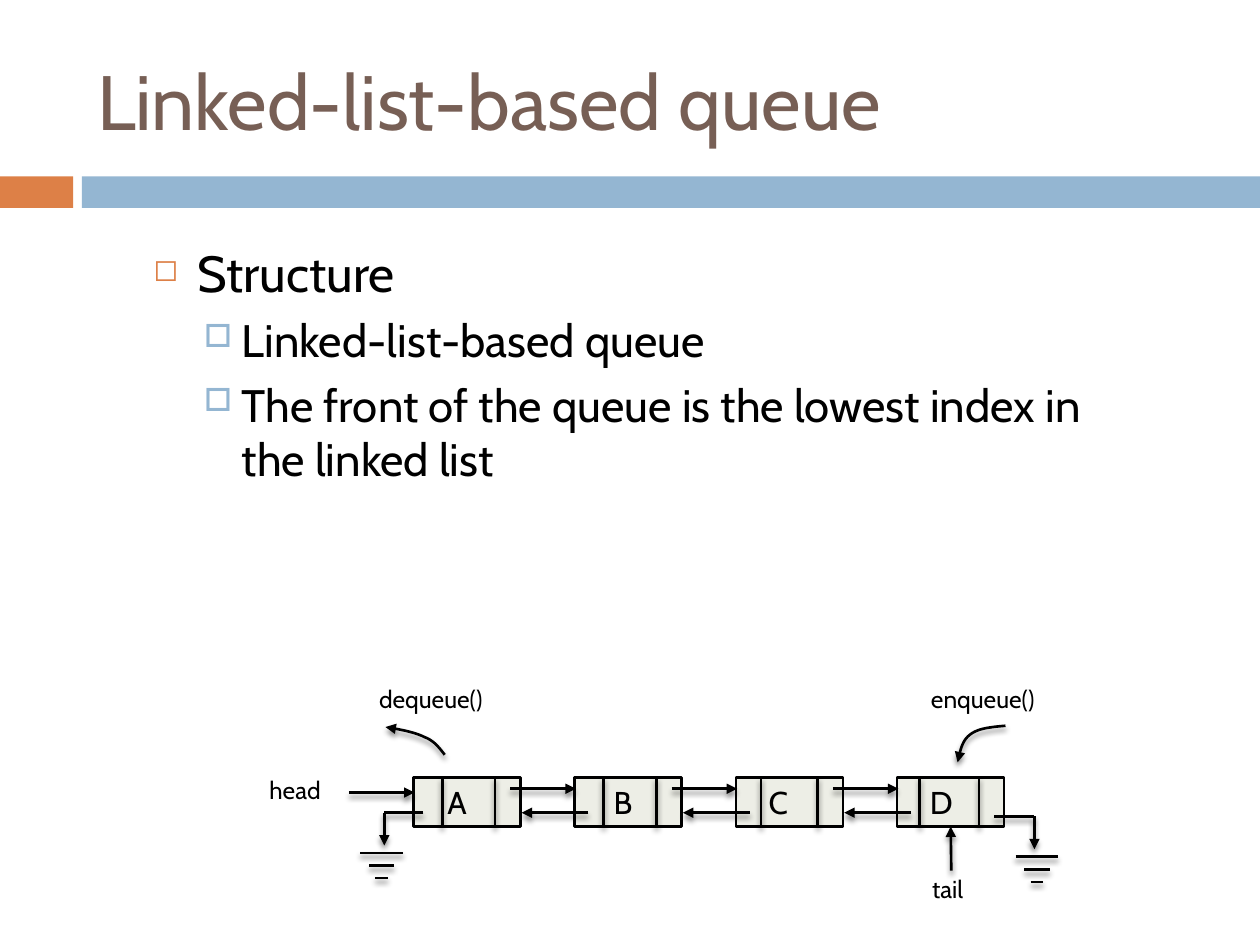
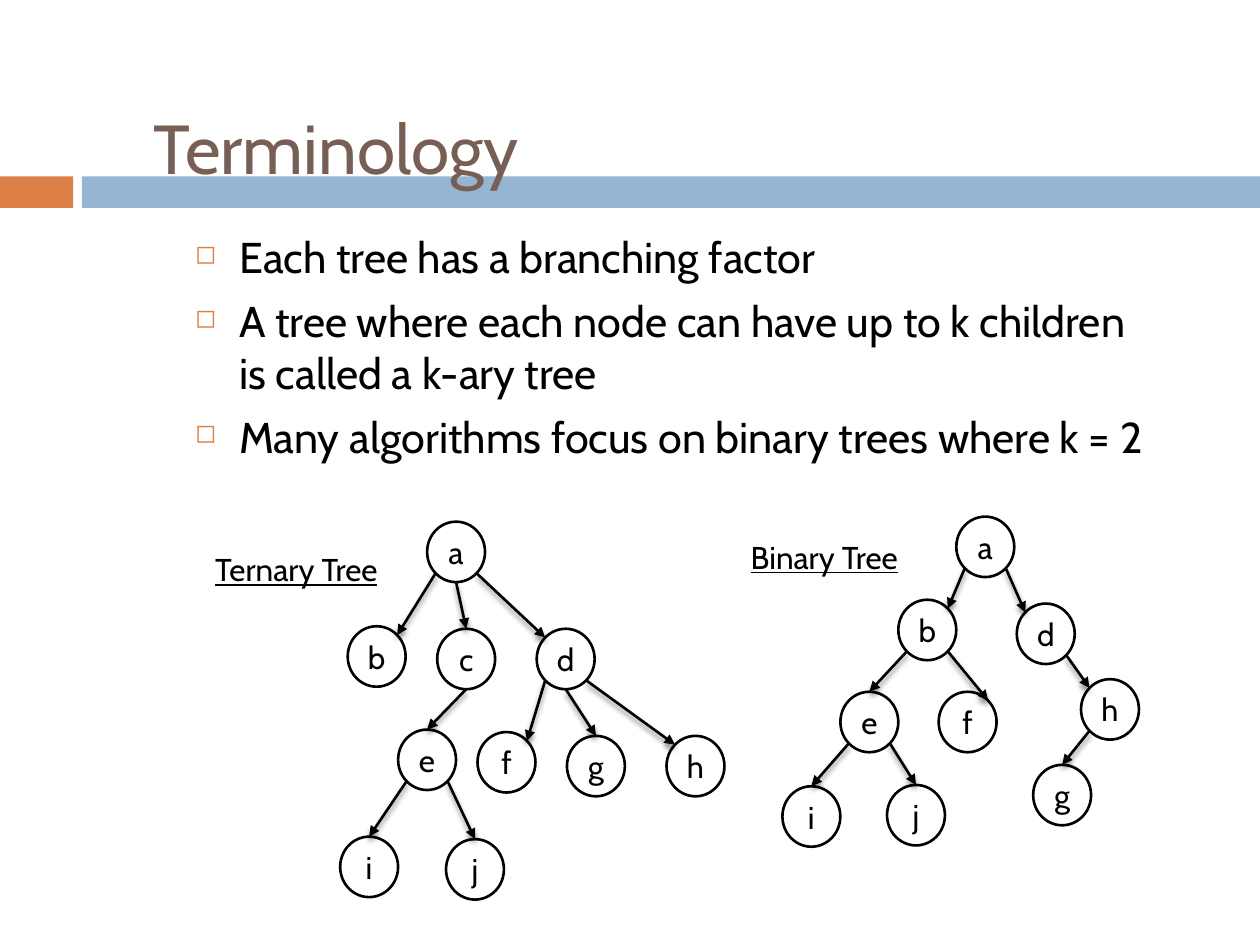
from dataclasses import dataclass
from math import sqrt

from lxml.etree import SubElement
from pptx import Presentation
from pptx.dml.color import RGBColor
from pptx.enum.shapes import MSO_CONNECTOR, MSO_SHAPE
from pptx.enum.text import MSO_ANCHOR, MSO_AUTO_SIZE, PP_ALIGN
from pptx.oxml.ns import qn
from pptx.util import Inches, Pt


@dataclass(frozen=True)
class Theme:
    font: str = "Cabin"
    title: str = "775F55"
    orange: str = "DD8047"
    blue: str = "94B6D2"
    ink: str = "000000"
    paper: str = "FFFFFF"
    cell: str = "EDEEE6"
    node_size: float = 18
    label_size: float = 14
    line_width: float = 1.5


THEME = Theme()

# Shared bands: left, top, width, height, colour
BANDS = [(0, 1.4, 0.58, 0.25, THEME.orange), (0.65, 1.4, 9.35, 0.25, THEME.blue)]

# Bullet levels: mark, colour, mark size %, left indent, hanging indent, space before
BULLETS = [("◻", THEME.orange, 60, 0.35, 0.35, 7),
           ("□", THEME.blue, 70, 0.7, 0.3, 5.5)]

# Slide 1 content
QUEUE = {
    "title": ("Linked-list-based queue", 44, (0.67, 0.25, 8.92, 1.08)),
    "body_box": (1.12, 1.87, 7.77, 2.94),
    "points": [
        (0, 29, "Structure"),
        (1, 26, "Linked-list-based queue"),
        (1, 26, "The front of the queue is the lowest index in the linked list"),
    ],
    # letter, text indent, left divider offset
    "cells": [("A", 0.27, 0.23), ("B", 0.31, 0.23), ("C", 0.26, 0.2), ("D", 0.26, 0.18)],
    "labels": [("head", 2.04, 6.1, 0.62), ("tail", 7.3, 6.89, 0.46),
               ("dequeue()", 2.91, 5.38, 1.05), ("enqueue()", 7.29, 5.38, 1.05)],
    # start x, stem x, wire y, bar centre x
    "grounds": [(7.89, 8.21, 6.48, 8.23), (3.36, 3.05, 6.45, 3.03)],
    # two Bézier pieces each, sharing the middle point
    "curves": [
        [(7.98, 5.76), (7.87, 5.77), (7.76, 5.78), (7.7, 5.83),
         (7.63, 5.88), (7.62, 5.97), (7.6, 6.05)],
        [(3.53, 5.99), (3.49, 5.94), (3.45, 5.88), (3.37, 5.85),
         (3.29, 5.81), (3.18, 5.79), (3.06, 5.77)],
    ],
}
CELL_LEFT, CELL_TOP, CELL_W, CELL_H, CELL_PITCH = 3.28, 6.17, 0.85, 0.39, 1.28
RIGHT_DIVIDER = 0.65
GROUND_BARS = [(0.32, 0.17), (0.42, 0.1), (0.52, 0.05)]  # drop, half width

# Slide 2 content; an edge is parent, side it leaves, child, side it enters
TERMINOLOGY = {
    "title": ("Terminology", 39.6, (1.12, 0.75, 7.88, 0.83)),
    "body_box": (1.45, 1.78, 7.75, 1.86),
    "points": [
        (0, 24.6, "Each tree has a branching factor"),
        (0, 24.6, "A tree where each node can have up to k children is called a k-ary tree"),
        (0, 24.6, "Many algorithms focus on binary trees where k = 2"),
    ],
    "trees": [
        {
            "label": ("Ternary Tree", 1.61, 4.32, 1.5),
            "nodes": {"a": (3.39, 4.14), "b": (2.76, 4.97), "c": (3.47, 4.99),
                      "d": (4.26, 4.99), "e": (3.16, 5.79), "f": (3.79, 5.81),
                      "g": (4.5, 5.84), "h": (5.29, 5.84), "i": (2.7, 6.64),
                      "j": (3.54, 6.66)},
            "edges": ["a SW b NE", "a S c N", "a SE d NW", "c S e N", "e SW i N",
                      "e SE j N", "d SW f NE", "d S g N", "d SE h NW"],
        },
        {
            "label": ("Binary Tree", 5.86, 4.22, 1.39),
            "nodes": {"a": (7.59, 4.1), "b": (7.13, 4.76), "d": (8.07, 4.79),
                      "e": (6.67, 5.49), "f": (7.45, 5.49), "g": (8.2, 6.07),
                      "h": (8.58, 5.39), "i": (6.21, 6.24), "j": (7.04, 6.23)},
            "edges": ["a SW b NE", "a SE d NW", "b SW e N", "b SE f NE", "e SW i N",
                      "e SE j N", "d SE h NW", "h SW g N"],
        },
    ],
}
NODE_W, NODE_H = 0.46, 0.48
DIAGONAL = 1 / sqrt(2)
SIDES = {"N": (0, -1), "S": (0, 1),
         "NE": (DIAGONAL, -DIAGONAL), "NW": (-DIAGONAL, -DIAGONAL),
         "SE": (DIAGONAL, DIAGONAL), "SW": (-DIAGONAL, DIAGONAL)}


def inches(values):
    return [Inches(value) for value in values]


def rgb(colour):
    return RGBColor.from_string(colour)


# Text
def add_run(paragraph, text, size, colour=THEME.ink, underline=None):
    run = paragraph.add_run()
    run.text = text
    run.font.name = THEME.font
    run.font.size = Pt(size)
    run.font.color.rgb = rgb(colour)
    run.font.underline = underline


def set_bullet(paragraph, level):
    mark, colour, percent, left, hanging, before = BULLETS[level]
    paragraph.level = level
    paragraph.space_before = Pt(before)
    properties = paragraph._p.get_or_add_pPr()
    properties.set("marL", str(Inches(left)))
    properties.set("indent", str(-Inches(hanging)))
    bullet_colour = SubElement(properties, qn("a:buClr"))
    SubElement(bullet_colour, qn("a:srgbClr"), val=colour)
    SubElement(properties, qn("a:buSzPct"), val=str(percent * 1000))
    SubElement(properties, qn("a:buChar"), char=mark)


def add_label(slide, text, left, top, width, size=THEME.label_size, underline=None):
    height = 0.34 if size == THEME.label_size else 0.4
    frame = slide.shapes.add_textbox(*inches((left, top, width, height))).text_frame
    frame.word_wrap = False
    add_run(frame.paragraphs[0], text, size, underline=underline)


# Shapes and lines
def add_box(slide, kind, box, fill, outlined=True):
    shape = slide.shapes.add_shape(kind, *inches(box))
    shape.shadow.inherit = False
    shape.fill.solid()
    shape.fill.fore_color.rgb = rgb(fill)
    if outlined:
        shape.line.color.rgb = rgb(THEME.ink)
        shape.line.width = Pt(THEME.line_width)
    else:
        shape.line.fill.background()
    return shape


def style_stroke(stroke, arrow):
    stroke.line.color.rgb = rgb(THEME.ink)
    stroke.line.width = Pt(THEME.line_width)
    if arrow:
        SubElement(stroke.line._get_or_add_ln(), qn("a:tailEnd"), type="triangle")
    effects = SubElement(stroke._element.spPr, qn("a:effectLst"))
    shadow = SubElement(effects, qn("a:outerShdw"), blurRad=str(Pt(3)),
                        dist=str(Pt(2.4)), dir="5400000", rotWithShape="0")
    shade = SubElement(shadow, qn("a:srgbClr"), val=THEME.ink)
    SubElement(shade, qn("a:alpha"), val="45000")


def add_line(slide, start, end, arrow=False):
    line = slide.shapes.add_connector(MSO_CONNECTOR.STRAIGHT, *inches((*start, *end)))
    style_stroke(line, arrow)
    return line


def bezier(controls, steps=12):
    for step in range(1, steps + 1):
        t = step / steps
        weights = ((1 - t) ** 3, 3 * t * (1 - t) ** 2, 3 * t * t * (1 - t), t ** 3)
        yield inches(sum(w * point[axis] for w, point in zip(weights, controls))
                     for axis in (0, 1))


def add_curve(slide, controls):
    builder = slide.shapes.build_freeform(*inches(controls[0]))
    points = [*bezier(controls[:4]), *bezier(controls[3:])]
    builder.add_line_segments(points, close=False)
    curve = builder.convert_to_shape()
    curve.fill.background()
    style_stroke(curve, arrow=True)


# Slide frame
def add_bands(slide):
    """Put the bands on the slide's layout, behind its title."""
    layout = slide.slide_layout
    for placeholder in list(layout.placeholders)[1:]:
        placeholder._element.getparent().remove(placeholder._element)
    bands = [add_box(slide, MSO_SHAPE.RECTANGLE, box, colour, outlined=False)
             for *box, colour in BANDS]
    for position, band in enumerate(bands, start=2):
        layout.shapes._spTree.insert(position, band._element)


def fill_frame(slide, content):
    text, size, box = content["title"]
    title = slide.shapes.title
    title.left, title.top, title.width, title.height = inches(box)
    frame = title.text_frame
    frame.auto_size = MSO_AUTO_SIZE.NONE
    frame.vertical_anchor = MSO_ANCHOR.MIDDLE
    frame.paragraphs[0].alignment = PP_ALIGN.LEFT
    add_run(frame.paragraphs[0], text, size, THEME.title)

    body = slide.shapes.add_textbox(*inches(content["body_box"])).text_frame
    body.word_wrap = True
    for index, (level, size, text) in enumerate(content["points"]):
        paragraph = body.add_paragraph() if index else body.paragraphs[0]
        set_bullet(paragraph, level)
        add_run(paragraph, text, size)


# Slide 1 diagram
def draw_queue(slide):
    bottom = CELL_TOP + CELL_H
    last = len(QUEUE["cells"]) - 1
    for index, (letter, indent, left_divider) in enumerate(QUEUE["cells"]):
        left = CELL_LEFT + index * CELL_PITCH
        cell = add_box(slide, MSO_SHAPE.RECTANGLE, (left, CELL_TOP, CELL_W, CELL_H), THEME.cell)
        frame = cell.text_frame
        frame.margin_left, frame.margin_right = Inches(indent), 0
        frame.vertical_anchor = MSO_ANCHOR.MIDDLE
        frame.paragraphs[0].alignment = PP_ALIGN.LEFT
        add_run(frame.paragraphs[0], letter, THEME.node_size)
        for offset in (left_divider, RIGHT_DIVIDER):
            add_line(slide, (left + offset, CELL_TOP), (left + offset, bottom))

    # Links between neighbours, drawn over the cells
    for index in range(last):
        left = CELL_LEFT + index * CELL_PITCH
        add_line(slide, (left + 0.77, 6.26), (left + 1.29, 6.26), arrow=True)
        add_line(slide, (left + 1.39, 6.45), (left + 0.86, 6.45), arrow=True)

    # Head and tail pointers
    add_line(slide, (2.77, 6.29), (3.29, 6.29), arrow=True)
    tail = add_line(slide, (7.55, 6.91), (7.55, bottom), arrow=True)
    tail.end_connect(cell, 2)

    for start_x, stem_x, y, centre in QUEUE["grounds"]:
        add_line(slide, (start_x, y), (stem_x, y))
        add_line(slide, (stem_x, y), (stem_x, y + 0.26), arrow=True)
        for drop, half in GROUND_BARS:
            add_line(slide, (centre - half, y + drop), (centre + half, y + drop))

    for label in QUEUE["labels"]:
        add_label(slide, *label)
    for curve in QUEUE["curves"]:
        add_curve(slide, curve)


# Slide 2 diagram
def rim_point(corner, side):
    return [start + size / 2 * (1 + toward)
            for start, size, toward in zip(corner, (NODE_W, NODE_H), SIDES[side])]


def draw_tree(slide, tree):
    nodes = tree["nodes"]
    for letter, corner in nodes.items():
        node = add_box(slide, MSO_SHAPE.OVAL, (*corner, NODE_W, NODE_H), THEME.paper)
        frame = node.text_frame
        frame.margin_left = frame.margin_right = 0
        frame.vertical_anchor = MSO_ANCHOR.MIDDLE
        frame.paragraphs[0].alignment = PP_ALIGN.CENTER
        add_run(frame.paragraphs[0], letter, THEME.node_size)
    for edge in tree["edges"]:
        parent, leaving, child, entering = edge.split()
        add_line(slide, rim_point(nodes[parent], leaving),
                 rim_point(nodes[child], entering), arrow=True)
    add_label(slide, *tree["label"], size=THEME.node_size, underline=True)


def main():
    deck = Presentation()
    deck.slide_width, deck.slide_height = inches((10, 7.5))
    title_only = deck.slide_layouts[5]

    queue = deck.slides.add_slide(title_only)
    add_bands(queue)
    fill_frame(queue, QUEUE)
    draw_queue(queue)

    terminology = deck.slides.add_slide(title_only)
    fill_frame(terminology, TERMINOLOGY)
    for tree in TERMINOLOGY["trees"]:
        draw_tree(terminology, tree)

    deck.save("out.pptx")


if __name__ == "__main__":
    main()
